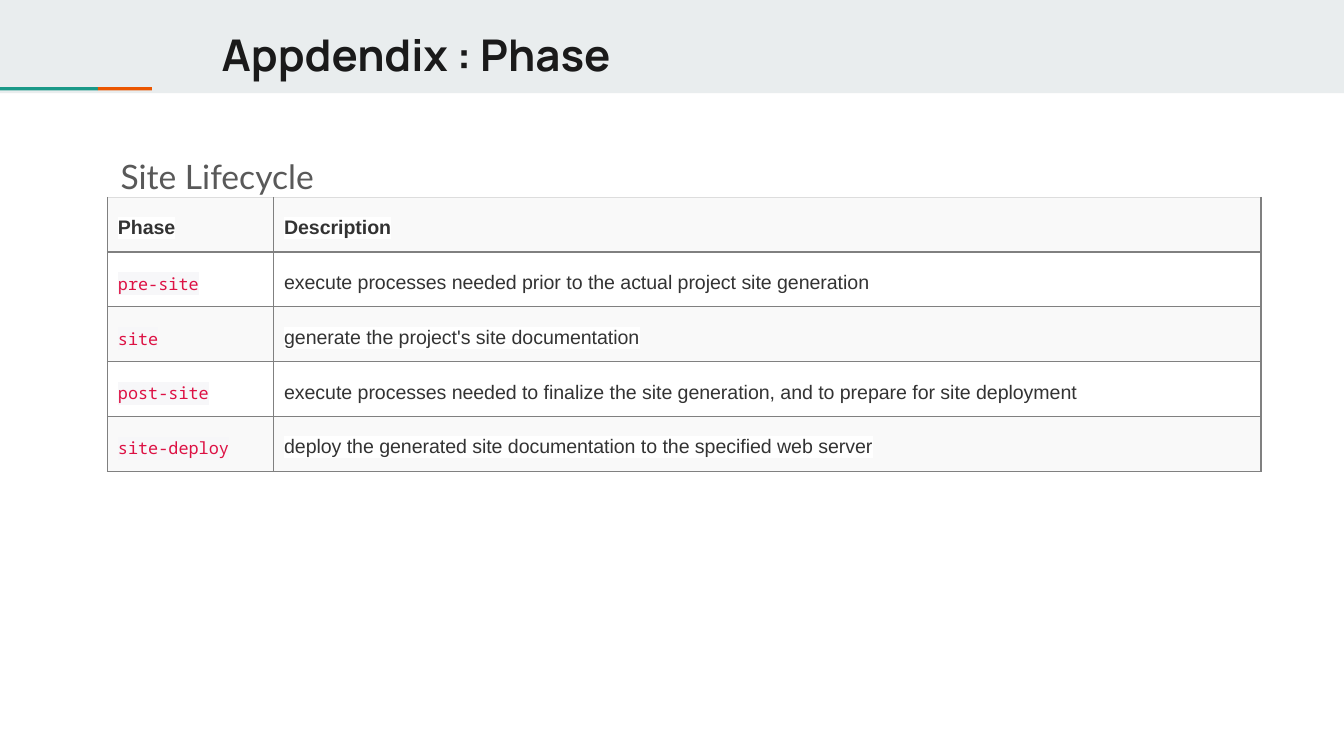
from lxml.etree import SubElement
from pptx import Presentation
from pptx.dml.color import RGBColor
from pptx.enum.shapes import MSO_SHAPE as Shape
from pptx.enum.text import MSO_ANCHOR as Anchor
from pptx.oxml.ns import qn
from pptx.util import Cm, Pt

BAND = RGBColor(0xE9, 0xED, 0xEE)
ORANGE = RGBColor(0xEB, 0x56, 0x00)
GREEN = RGBColor(0x1A, 0x99, 0x88)
INK = RGBColor(0x1A, 0x1A, 0x1A)
BODY = RGBColor(0x59, 0x59, 0x59)
CELL_TEXT = RGBColor(0x33, 0x33, 0x33)
CODE = RGBColor(0xDD, 0x11, 0x44)
CODE_BACK = RGBColor(0xF7, 0xF7, 0xF9)
STRIPE = RGBColor(0xF9, 0xF9, 0xF9)
WHITE = RGBColor(0xFF, 0xFF, 0xFF)
RULE = RGBColor(0x80, 0x80, 0x80)
TOP_RULE = RGBColor(0xDD, 0xDD, 0xDD)

PHASES = [
    ("Phase", "Description"),
    ("pre-site", "execute processes needed prior to the actual project site generation"),
    ("site", "generate the project's site documentation"),
    ("post-site", "execute processes needed to finalize the site generation, "
                  "and to prepare for site deployment"),
    ("site-deploy", "deploy the generated site documentation to the specified web server"),
]


def add_span(para, text, font, size, color, bold=False, highlight=None):
    span = para.add_run()
    span.text = text
    span.font.name, span.font.size, span.font.bold = font, Pt(size), bold
    span.font.color.rgb = color
    if highlight is not None:
        # The highlight must directly follow the text fill
        mark = SubElement(span.font._element, qn("a:highlight"))
        SubElement(mark, qn("a:srgbClr"), val=str(highlight))
        span.font._element.find(qn("a:solidFill")).addnext(mark)


def add_bar(page, box, color):
    bar = page.shapes.add_shape(Shape.RECTANGLE, *map(Cm, box))
    bar.fill.solid()
    bar.fill.fore_color.rgb = color
    bar.line.fill.background()
    bar.shadow.inherit = False


def add_text(page, box, anchor):
    frame = page.shapes.add_textbox(*map(Cm, box)).text_frame
    frame.word_wrap = True
    frame.vertical_anchor = anchor
    frame.margin_left = frame.margin_right = Cm(0.25)
    frame.margin_top = frame.margin_bottom = Cm(0.25)
    return frame.paragraphs[0]


def set_borders(cell, top):
    props = cell._tc.get_or_add_tcPr()
    sides = [("lnL", RULE), ("lnR", RULE), ("lnT", top), ("lnB", RULE)]
    for index, (side, color) in enumerate(sides):
        line = SubElement(props, qn("a:" + side), w=str(Pt(0.75)))
        fill = SubElement(line, qn("a:solidFill"))
        SubElement(fill, qn("a:srgbClr"), val=str(color))
        props.insert(index, line)


def add_header(page, box):
    left, top, width, height = box
    add_bar(page, box, BAND)
    # Two-colour accent along the lower edge
    accent_top = top + height - 0.11
    add_bar(page, (left, accent_top, 1.85, 0.06), GREEN)
    add_bar(page, (left + 1.85, accent_top, 1.02, 0.06), ORANGE)
    # Title
    para = add_text(page, (left + 3.94, top + 0.28, 21.36, 1.5), Anchor.MIDDLE)
    add_span(para, "Appdendix : Phase", "Manrope", 23.4, INK, bold=True)


def add_subtitle(page, box):
    para = add_text(page, box, Anchor.TOP)
    para.line_spacing, para.space_after = 1.5, Pt(12)
    add_span(para, "Site Lifecycle", "Lato", 18, BODY)


def add_phase_table(page, box):
    left, top, width, height = box
    table = page.shapes.add_table(len(PHASES), 2, *map(Cm, box)).table
    first_width = 3.14
    table.columns[0].width = Cm(first_width)
    table.columns[1].width = Cm(width - first_width)
    for row, texts in enumerate(PHASES):
        table.rows[row].height = Cm(height / len(PHASES))
        for column, text in enumerate(texts):
            cell = table.cell(row, column)
            cell.margin_left = cell.margin_right = Cm(0.2)
            cell.margin_top = cell.margin_bottom = Cm(0.2)
            cell.fill.solid()
            cell.fill.fore_color.rgb = WHITE if row % 2 else STRIPE
            set_borders(cell, RULE if row else TOP_RULE)
            para = cell.text_frame.paragraphs[0]
            para.line_spacing, para.space_after = 1.43, Pt(15)
            if row and column == 0:
                add_span(para, text, "Noto Sans Mono", 9, CODE, highlight=CODE_BACK)
            else:
                add_span(para, text, "Arial", 10.5, CELL_TEXT,
                         bold=row == 0, highlight=WHITE)


def main():
    deck = Presentation()
    deck.slide_width, deck.slide_height = Cm(25.4), Cm(14.29)
    page = deck.slides.add_slide(deck.slide_layouts[6])
    add_header(page, (0, 0, 25.4, 1.76))
    add_subtitle(page, (2.03, 2.31, 21.36, 9.75))
    add_phase_table(page, (2.03, 3.73, 21.8, 4.93))
    deck.save("out.pptx")


if __name__ == "__main__":
    main()
